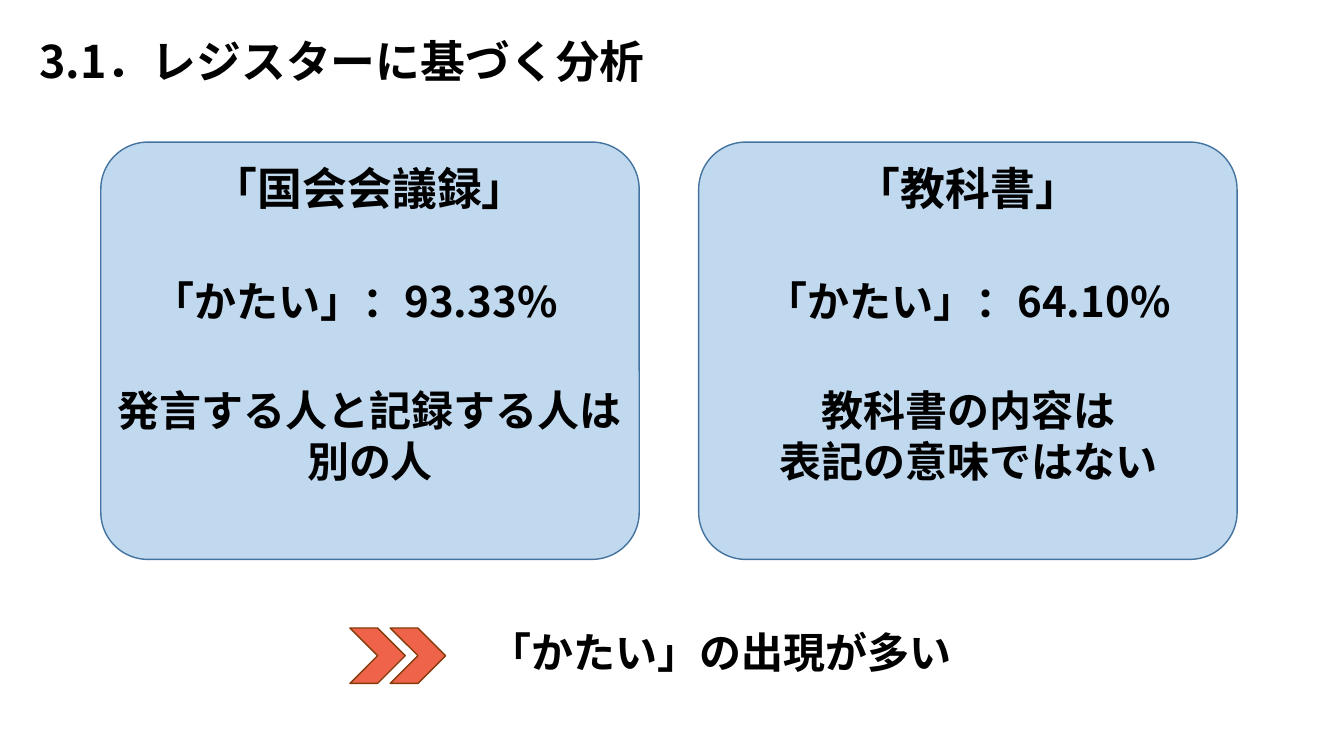
from dataclasses import dataclass

from lxml.etree import SubElement
from pptx import Presentation
from pptx.dml.color import RGBColor
from pptx.enum.shapes import MSO_SHAPE
from pptx.enum.text import MSO_ANCHOR, MSO_AUTO_SIZE, PP_ALIGN
from pptx.oxml.ns import qn
from pptx.shapes.autoshape import Shape
from pptx.text.text import TextFrame
from pptx.util import Emu, Pt

PX = 9144  # EMU per px, 100 px to the inch


@dataclass(frozen=True)
class Theme:
    font: str = "Noto Sans CJK JP"
    text: str = "000000"
    panel_fill: str = "BDD7EE"
    panel_line: str = "43739E"
    chevron_fill: str = "EE6349"
    chevron_line: str = "843C0B"
    heading_size: int = 32
    body_size: int = 30
    line_width: int = 1
    panel_opacity: int = 95


THEME = Theme()


@dataclass(frozen=True)
class Box:
    left: int
    top: int
    width: int
    height: int

    def emu(self) -> tuple[Emu, ...]:
        return tuple(Emu(px * PX) for px in (self.left, self.top, self.width, self.height))


@dataclass(frozen=True)
class Register:
    name: str
    share: str
    reason: str
    panel: Box
    share_box: Box
    reason_box: Box


REGISTERS = (
    Register("「国会会議録」", "「かたい」：93.33%", "発言する人と記録する人は\n別の人",
             Box(100, 141, 534, 414), Box(85, 268, 534, 61), Box(100, 377, 534, 111)),
    Register("「教科書」", "「かたい」：64.10%", "教科書の内容は\n表記の意味ではない",
             Box(693, 141, 534, 414), Box(693, 268, 534, 61), Box(708, 377, 506, 111)),
)
CHEVRONS = tuple(Box(left, 623, 55, 55) for left in (347, 387))


def write_text(frame: TextFrame, text: str, size: int, align: PP_ALIGN) -> None:
    paragraph = frame.paragraphs[0]
    paragraph.text = text
    paragraph.alignment = align
    font = paragraph.font
    font.size = Pt(size)
    font.bold = True
    font.color.rgb = RGBColor.from_string(THEME.text)
    font.name = THEME.font
    # Japanese characters take the East Asian typeface
    latin = paragraph._p.pPr.find(qn("a:defRPr")).find(qn("a:latin"))
    east_asian = SubElement(latin.getparent(), qn("a:ea"), typeface=THEME.font)
    latin.addnext(east_asian)


def add_text(shapes, box: Box, text: str, align: PP_ALIGN, wrap: bool = True) -> None:
    frame = shapes.add_textbox(*box.emu()).text_frame
    frame.word_wrap = wrap
    frame.auto_size = MSO_AUTO_SIZE.SHAPE_TO_FIT_TEXT
    write_text(frame, text, THEME.body_size, align)


def add_outlined_shape(shapes, kind: MSO_SHAPE, box: Box, fill: str, line: str) -> Shape:
    shape = shapes.add_shape(kind, *box.emu())
    shape.shadow.inherit = False
    shape.fill.solid()
    shape.fill.fore_color.rgb = RGBColor.from_string(fill)
    shape.line.color.rgb = RGBColor.from_string(line)
    shape.line.width = Pt(THEME.line_width)
    return shape


def add_register(shapes, register: Register) -> None:
    panel = add_outlined_shape(shapes, MSO_SHAPE.ROUNDED_RECTANGLE, register.panel,
                               THEME.panel_fill, THEME.panel_line)
    panel.adjustments[0] = 0.113
    color = panel._element.spPr.find(qn("a:solidFill"))[0]
    SubElement(color, qn("a:alpha"), val=str(THEME.panel_opacity * 1000))
    panel.text_frame.vertical_anchor = MSO_ANCHOR.TOP
    write_text(panel.text_frame, register.name, THEME.heading_size, PP_ALIGN.CENTER)
    add_text(shapes, register.share_box, register.share, PP_ALIGN.CENTER)
    add_text(shapes, register.reason_box, register.reason, PP_ALIGN.CENTER)


def main() -> None:
    presentation = Presentation()
    presentation.slide_width = Emu(1333 * PX)
    presentation.slide_height = Emu(750 * PX)
    slide = presentation.slides.add_slide(presentation.slide_layouts[5])

    # Title
    title = slide.shapes.title
    title.left, title.top, title.width, title.height = Box(29, 28, 721, 64).emu()
    title.text_frame.word_wrap = True
    title.text_frame.auto_size = MSO_AUTO_SIZE.NONE
    title.text_frame.vertical_anchor = MSO_ANCHOR.MIDDLE
    write_text(title.text_frame, "3.1．レジスターに基づく分析", THEME.heading_size, PP_ALIGN.LEFT)

    # Register panels
    for register in REGISTERS:
        add_register(slide.shapes, register)

    # Conclusion with its chevrons
    conclusion = slide.shapes.add_group_shape().shapes
    add_text(conclusion, Box(476, 617, 485, 61), "「かたい」の出現が多い", PP_ALIGN.LEFT, wrap=False)
    for box in CHEVRONS:
        add_outlined_shape(conclusion, MSO_SHAPE.CHEVRON, box,
                           THEME.chevron_fill, THEME.chevron_line)

    presentation.save("out.pptx")


if __name__ == "__main__":
    main()
